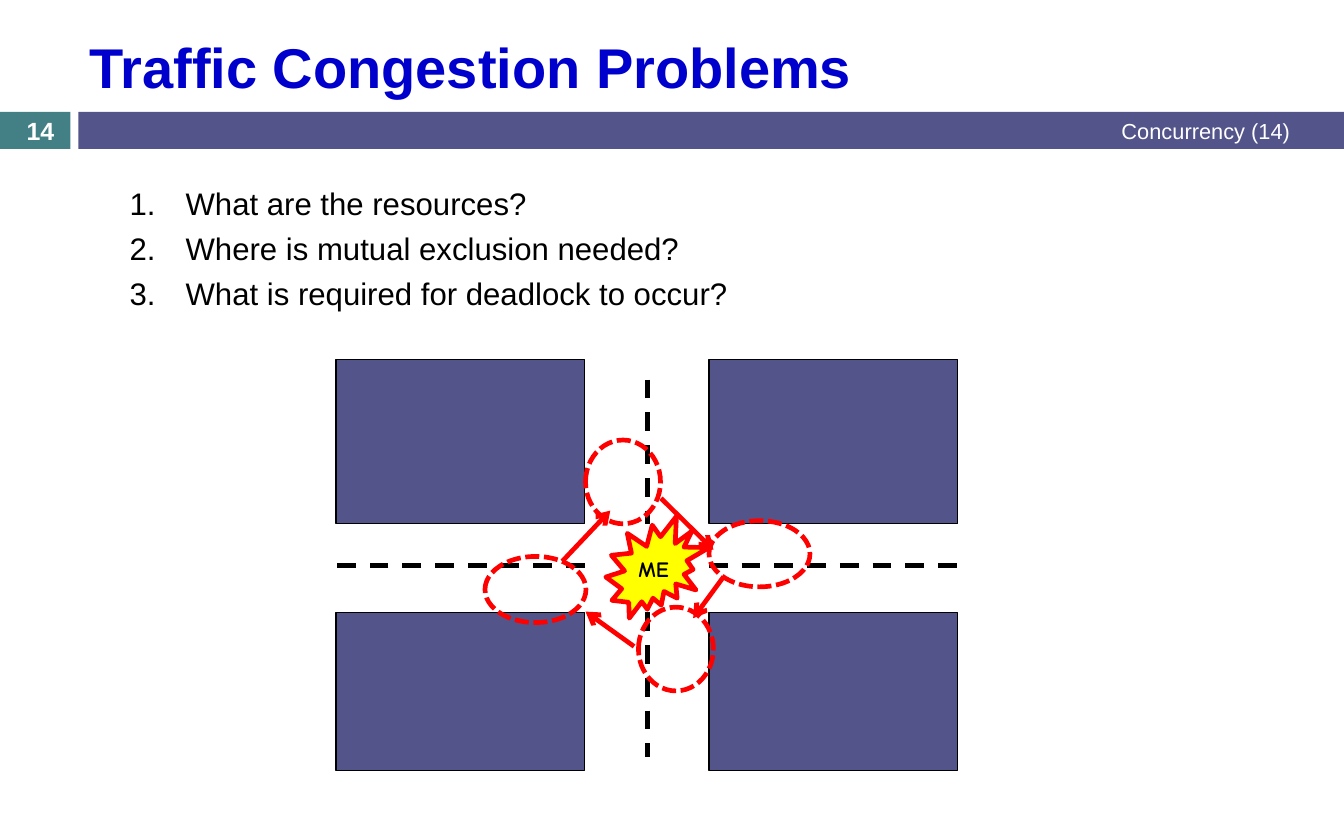
from pptx import Presentation
from pptx.dml.color import RGBColor
from pptx.enum.dml import MSO_LINE
from pptx.enum.shapes import MSO_CONNECTOR, MSO_SHAPE
from pptx.enum.text import MSO_ANCHOR, PP_ALIGN
from pptx.oxml.ns import qn
from pptx.util import Cm, Pt
from lxml.etree import SubElement

INDIGO = RGBColor(0x53, 0x54, 0x8A)
TEAL = RGBColor(0x43, 0x80, 0x86)
BLUE = RGBColor(0x00, 0x00, 0xCC)
RED = RGBColor(0xFF, 0x00, 0x00)
YELLOW = RGBColor(0xFF, 0xFF, 0x00)
BLACK = RGBColor(0x00, 0x00, 0x00)
WHITE = RGBColor(0xFF, 0xFF, 0xFF)

deck = Presentation()
deck.slide_width, deck.slide_height = Cm(30.48), Cm(19.05)
page = deck.slides.add_slide(deck.slide_layouts[6])


def add_outlined(kind, place, fill=None, line=None, width=3.0, dash=None):
    """Add a preset shape; leaving out fill or line makes that part empty."""
    shape = page.shapes.add_shape(kind, *map(Cm, place))
    shape.shadow.inherit = False
    if fill is None:
        shape.fill.background()
    else:
        shape.fill.solid()
        shape.fill.fore_color.rgb = fill
    if line is None:
        shape.line.fill.background()
    else:
        shape.line.color.rgb = line
        shape.line.width = Pt(width)
        shape.line.dash_style = dash
    return shape


def add_stroke(ends, color, dash=None):
    stroke = page.shapes.add_connector(MSO_CONNECTOR.STRAIGHT, *map(Cm, ends))
    stroke.line.color.rgb = color
    stroke.line.width = Pt(3)
    stroke.line.dash_style = dash
    SubElement(stroke._element.spPr, qn("a:effectLst"))
    return stroke


# Header bars
add_outlined(MSO_SHAPE.RECTANGLE, (0, 2.54, 1.6, 0.84), TEAL)
add_outlined(MSO_SHAPE.RECTANGLE, (1.78, 2.54, 28.7, 0.84), INDIGO)

# City blocks around the crossing
for top, height in ((8.15, 3.73), (13.89, 3.58)):
    for left in (7.62, 16.08):
        add_outlined(MSO_SHAPE.RECTANGLE, (left, top, 5.64, height), INDIGO, BLACK, 0.75)

# Lane markings
for ends in (
    (13.26, 12.83, 7.62, 12.83),
    (16.08, 12.83, 21.72, 12.83),
    (14.68, 8.61, 14.68, 11.89),
    (14.68, 13.89, 14.68, 17.17),
):
    add_stroke(ends, BLACK, MSO_LINE.DASH)

# Mutual exclusion in the middle
burst = add_outlined(MSO_SHAPE.EXPLOSION2, (13.74, 11.71, 2.34, 2.31), YELLOW, RED)

# Cars waiting, each with an arrow to the place it needs next
for car, arrow in (
    ((16.08, 11.81, 2.29, 1.5), (16.41, 13.08, 15.72, 14.02)),
    ((11.0, 12.62, 2.29, 1.5), (12.75, 12.73, 13.84, 11.58)),
    ((14.48, 13.77, 1.7, 1.9), (14.38, 14.66, 13.28, 13.87)),
    ((13.28, 9.98, 1.7, 1.9), (14.99, 11.3, 16.18, 12.47)),
):
    add_outlined(MSO_SHAPE.OVAL, car, line=RED, dash=MSO_LINE.SQUARE_DOT)
    stroke = add_stroke(arrow, RED)
    SubElement(stroke.line._get_or_add_ln(), qn("a:tailEnd"), type="arrow")

# Texts
questions = page.shapes.add_textbox(Cm(2.69), Cm(4.06), Cm(21.29), Cm(3.43))
title = page.shapes.add_textbox(Cm(1.78), Cm(0.48), Cm(27.71), Cm(2.03))
footer = page.shapes.add_textbox(Cm(15.67), Cm(2.54), Cm(13.84), Cm(0.84))
number = page.shapes.add_textbox(Cm(0), Cm(2.59), Cm(1.83), Cm(0.76))

question_lines = (
    "What are the resources?",
    "Where is mutual exclusion needed?",
    "What is required for deadlock to occur?",
)
arial = {"name": "Arial", "bold": False}
for box, lines, align, anchor, color, style in (
    (burst, ["ME"], PP_ALIGN.CENTER, MSO_ANCHOR.MIDDLE, BLACK,
     {"name": "Comic Neue", "size": Pt(14), "bold": True}),
    (questions, question_lines, PP_ALIGN.LEFT, MSO_ANCHOR.TOP, BLACK,
     {**arial, "size": Pt(20)}),
    (title, ["Traffic Congestion Problems"], PP_ALIGN.LEFT, MSO_ANCHOR.MIDDLE, BLUE,
     {**arial, "size": Pt(36), "bold": True}),
    (footer, ["Concurrency (14)"], PP_ALIGN.RIGHT, MSO_ANCHOR.MIDDLE, WHITE,
     {**arial, "size": Pt(14)}),
    (number, ["14"], PP_ALIGN.CENTER, MSO_ANCHOR.MIDDLE, WHITE,
     {**arial, "size": Pt(16), "bold": True}),
):
    frame = box.text_frame
    frame.word_wrap = box is not burst
    frame.vertical_anchor = anchor
    for index, line in enumerate(lines):
        para = frame.add_paragraph() if index else frame.paragraphs[0]
        para.alignment = align
        if box is questions:
            if index:
                para.space_before = Pt(5)
            properties = para._p.get_or_add_pPr()
            properties.set("marL", str(Cm(1.27)))
            properties.set("indent", str(-Cm(1.27)))
            SubElement(properties, qn("a:buFont"), typeface="Arial")
            SubElement(properties, qn("a:buAutoNum"), type="arabicPeriod")
        span = para.add_run()
        span.text = line
        span.font.color.rgb = color
        for name, value in style.items():
            setattr(span.font, name, value)

deck.save("out.pptx")
